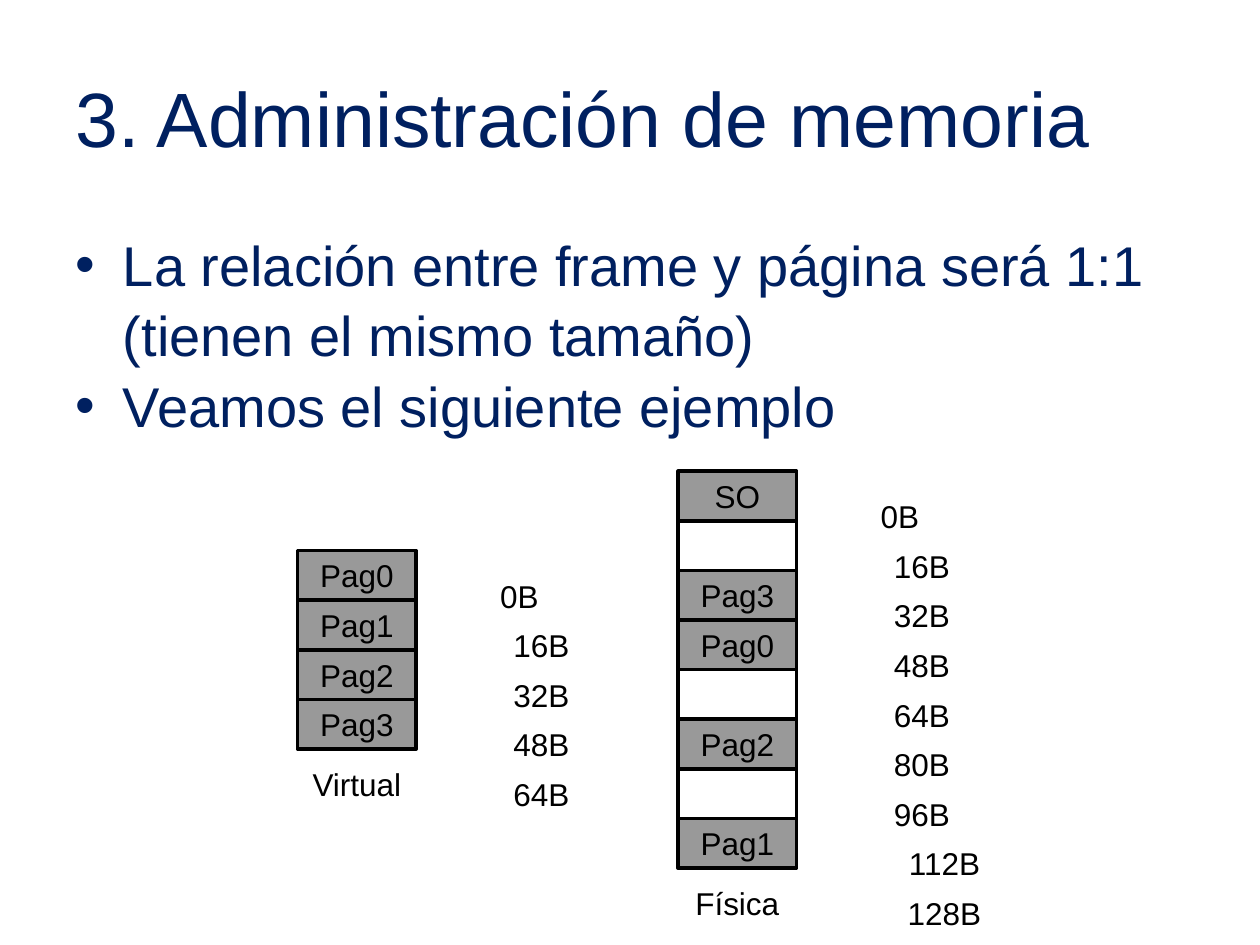
from lxml import etree
from pptx import Presentation
from pptx import util as u
from pptx.dml.color import RGBColor
from pptx.enum import shapes, text
from pptx.oxml import ns

NAVY = RGBColor(0x00, 0x20, 0x60)
GREY = RGBColor(0x60, 0x60, 0x60)
BLACK = RGBColor(0x00, 0x00, 0x00)

FRAME_W, FRAME_H = 2.39, 1
TEXT_H = 1.02
BYTES_PER_FRAME = 16
LABEL_DROP = 0.4
LABEL_BOXES = {2: (3.82, 1.3), 3: (4.09, 1.65), 4: (4.38, 1.98)}


def write(tf, content, size=18, color=BLACK, align=text.PP_ALIGN.CENTER,
          anchor=text.MSO_ANCHOR.TOP, wrap=False, spacing=None):
    tf.word_wrap = wrap
    tf.auto_size = text.MSO_AUTO_SIZE.NONE
    tf.vertical_anchor = anchor
    for i, line in enumerate(content.split("\n")):
        p = tf.add_paragraph() if i else tf.paragraphs[0]
        p.alignment = align
        p.space_before = u.Pt(0)
        p.line_spacing = spacing
        r = p.add_run()
        r.text = line
        r.font.name = "Arial"
        r.font.size = u.Pt(size)
        r.font.color.rgb = color


def fill_placeholder(sp, content, left, top, width, height, **fmt):
    sp.left, sp.top = u.Cm(left), u.Cm(top)
    sp.width, sp.height = u.Cm(width), u.Cm(height)
    write(sp.text_frame, content, color=NAVY, align=text.PP_ALIGN.LEFT,
          wrap=True, **fmt)


def add_label(slide, content, left, top, width):
    sp = slide.shapes.add_textbox(u.Cm(left), u.Cm(top), u.Cm(width), u.Cm(TEXT_H))
    write(sp.text_frame, content)


def add_frame(slide, content, left, top):
    sp = slide.shapes.add_shape(shapes.MSO_SHAPE.RECTANGLE, u.Cm(left), u.Cm(top),
                                u.Cm(FRAME_W), u.Cm(FRAME_H))
    sp.shadow.inherit = False
    sp.line.color.rgb = BLACK
    sp.line.width = u.Pt(2)
    if not content:
        sp.fill.background()
        return
    sp.fill.solid()
    sp.fill.fore_color.rgb = GREY
    clr = sp.fill._xPr.find(ns.qn("a:solidFill"))[0]
    etree.SubElement(clr, ns.qn("a:alpha"), val="64000")
    write(sp.text_frame, content, anchor=text.MSO_ANCHOR.MIDDLE)


def add_memory(slide, caption, pages, left, top):
    for i, page in enumerate(pages):
        add_frame(slide, page, left, top + i * FRAME_H)
    for i in range(len(pages) + 1):
        address = f"{i * BYTES_PER_FRAME}B"
        offset, width = LABEL_BOXES[len(address)]
        add_label(slide, address, left + offset, top + LABEL_DROP + i * FRAME_H, width)
    add_label(slide, caption, left, top + len(pages) * FRAME_H + 0.2, FRAME_W)


def main():
    prs = Presentation()
    prs.slide_width, prs.slide_height = u.Cm(25.4), u.Cm(19.05)
    slide = prs.slides.add_slide(prs.slide_layouts[1])
    fill_placeholder(slide.shapes.title, "3. Administración de memoria",
                     1.27, 0.76, 22.86, 3.18, size=44,
                     anchor=text.MSO_ANCHOR.MIDDLE)
    fill_placeholder(slide.placeholders[1],
                     "La relación entre frame y página será 1:1 (tienen el mismo tamaño)\n"
                     "Veamos el siguiente ejemplo",
                     1.27, 4.45, 22.86, 12.57, size=32, spacing=1.05)
    add_memory(slide, "Virtual", ["Pag0", "Pag1", "Pag2", "Pag3"], 6, 11.1)
    add_memory(slide, "Física",
               ["SO", "", "Pag3", "Pag0", "", "Pag2", "", "Pag1"], 13.67, 9.5)
    prs.save("out.pptx")


if __name__ == "__main__":
    main()
